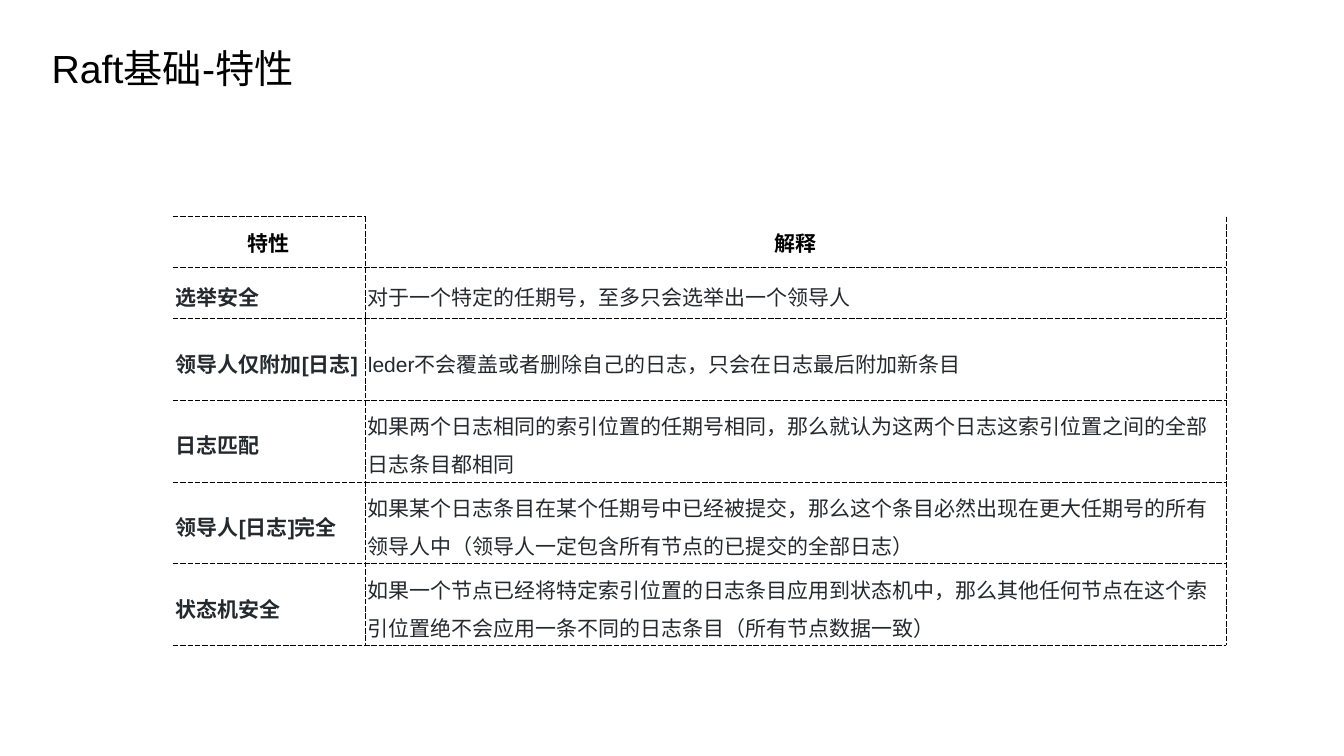
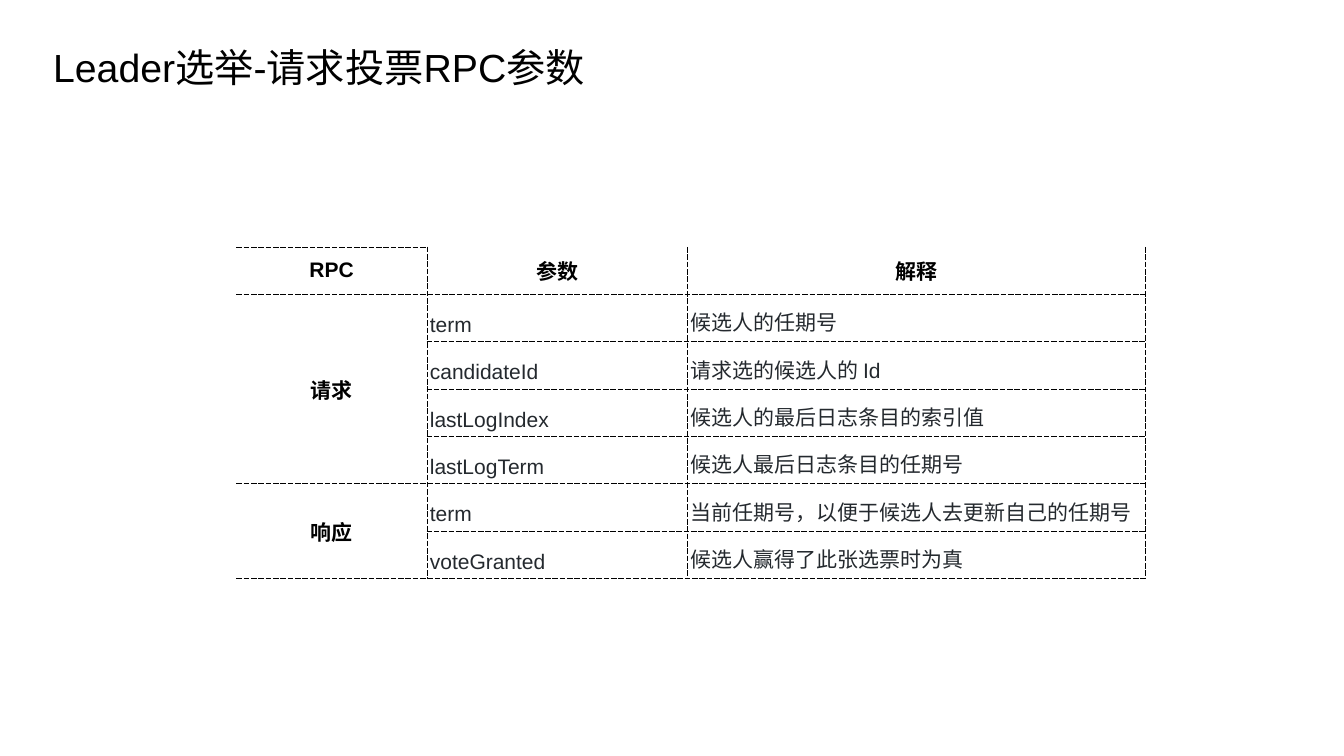
from lxml import etree
from pptx import Presentation
from pptx.dml.color import RGBColor
from pptx.enum import text
from pptx.oxml import ns
from pptx.util import Inches, Pt

BLACK = RGBColor(0x00, 0x00, 0x00)
BODY = RGBColor(0x24, 0x29, 0x2E)
FONT = "Arial"

PROPERTIES = [
    ("特性", "解释"),
    ("选举安全", "对于一个特定的任期号，至多只会选举出一个领导人"),
    ("领导人仅附加[日志]", "leder不会覆盖或者删除自己的日志，只会在日志最后附加新条目"),
    ("日志匹配", "如果两个日志相同的索引位置的任期号相同，那么就认为这两个日志这索引位置之间的全部日志条目都相同"),
    ("领导人[日志]完全", "如果某个日志条目在某个任期号中已经被提交，那么这个条目必然出现在更大任期号的所有领导人中（领导人一定包含所有节点的已提交的全部日志）"),
    ("状态机安全", "如果一个节点已经将特定索引位置的日志条目应用到状态机中，那么其他任何节点在这个索引位置绝不会应用一条不同的日志条目（所有节点数据一致）"),
]
VOTE_ARGUMENTS = [
    ("RPC", "参数", "解释"),
    ("请求", "term", "候选人的任期号"),
    ("", "candidateId", "请求选的候选人的 Id"),
    ("", "lastLogIndex", "候选人的最后日志条目的索引值"),
    ("", "lastLogTerm", "候选人最后日志条目的任期号"),
    ("响应", "term", "当前任期号，以便于候选人去更新自己的任期号"),
    ("", "voteGranted", "候选人赢得了此张选票时为真"),
]
SLIDES = [
    {
        "title": "Raft基础-特性", "title_box": (0.94, 0.73, 4.97, 1.24),
        "rows": PROPERTIES, "table_box": (3.43, 4.3, 20.9, 7.63),
        "widths": [3.81, 17.09], "heights": [1.01] * 3 + [1.29] * 3,
        "groups": [],
    },
    {
        "title": "Leader选举-请求投票RPC参数", "title_box": (0.97, 0.7, 10.72, 1.24),
        "rows": VOTE_ARGUMENTS, "table_box": (4.69, 4.9, 18.03, 6.6),
        "widths": [3.78, 5.17, 9.09], "heights": [0.94] * 7,
        "groups": [(1, 4), (5, 6)],
    },
]


def set_borders(cell, visible_sides):
    properties = cell._tc.get_or_add_tcPr()
    for side in "LRTB":
        line = etree.SubElement(properties, ns.qn(f"a:ln{side}"), w=str(Pt(1)))
        if side in visible_sides:
            fill = etree.SubElement(line, ns.qn("a:solidFill"))
            etree.SubElement(fill, ns.qn("a:srgbClr"), val=str(BLACK))
            etree.SubElement(line, ns.qn("a:prstDash"), val="sysDash")
        else:
            etree.SubElement(line, ns.qn("a:noFill"))


def style_font(paragraph, size, color, bold=False):
    font = paragraph.font
    font.name, font.size, font.bold = FONT, Pt(size), bold
    font.color.rgb = color


presentation = Presentation()
presentation.slide_width = Inches(26.67)
presentation.slide_height = Inches(15)

for content in SLIDES:
    slide = presentation.slides.add_slide(presentation.slide_layouts[6])

    title = slide.shapes.add_textbox(*map(Inches, content["title_box"]))
    frame = title.text_frame
    frame.word_wrap = True
    frame.vertical_anchor = text.MSO_ANCHOR.MIDDLE
    frame.margin_left = frame.margin_right = Inches(0.08)
    frame.margin_top = frame.margin_bottom = Inches(0.08)
    paragraph = frame.paragraphs[0]
    paragraph.text = content["title"]
    paragraph.alignment = text.PP_ALIGN.CENTER
    style_font(paragraph, 56, BLACK)

    rows, groups = content["rows"], content["groups"]
    table = slide.shapes.add_table(
        len(rows), len(rows[0]), *map(Inches, content["table_box"])).table
    table.first_row = table.horz_banding = False
    for column, width in zip(table.columns, content["widths"]):
        column.width = Inches(width)
    for row, height in zip(table.rows, content["heights"]):
        row.height = Inches(height)
    for first, last in groups:
        table.cell(first, 0).merge(table.cell(last, 0))

    for row_index, values in enumerate(rows):
        for column_index, value in enumerate(values):
            cell = table.cell(row_index, column_index)
            sides = "R" if cell.is_spanned else "RB"
            if column_index > 0:
                sides += "L"
            if not cell.is_spanned and (row_index > 0 or column_index == 0):
                sides += "T"
            set_borders(cell, sides)
            cell.fill.background()
            cell.vertical_anchor = text.MSO_ANCHOR.MIDDLE
            cell.margin_left = cell.margin_right = Inches(0.06)
            cell.margin_top = cell.margin_bottom = Inches(0.06)
            if cell.is_spanned:
                continue
            paragraph = cell.text_frame.paragraphs[0]
            paragraph.text = value
            if row_index == 0 or cell.is_merge_origin:
                paragraph.alignment = text.PP_ALIGN.CENTER
                style_font(paragraph, 30, BLACK, True)
            else:
                paragraph.line_spacing = Pt(54)
                style_font(paragraph, 30, BODY, column_index == 0)

presentation.save("out.pptx")
